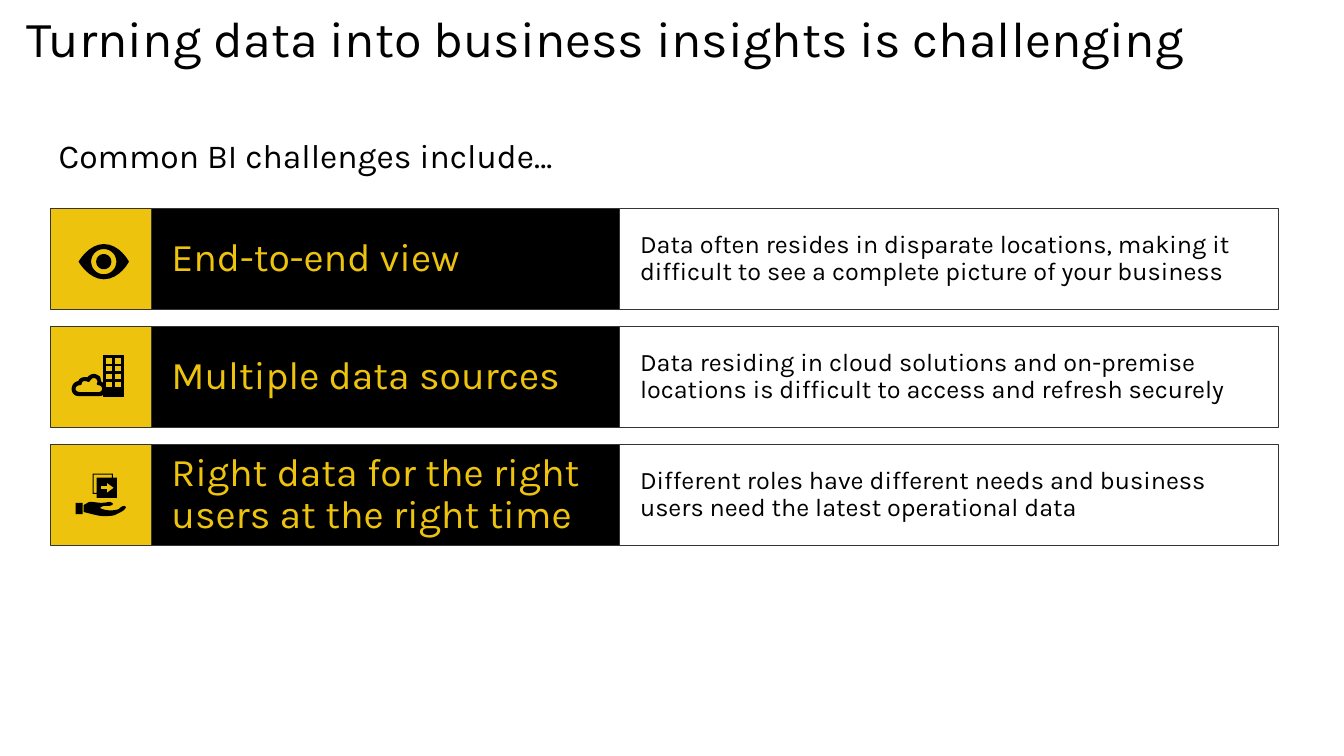
from dataclasses import dataclass
from math import cos, pi, sin

from pptx import Presentation, util as u
from pptx.dml.color import RGBColor as Rgb
from pptx.enum import shapes, text
from pptx.util import Cm


@dataclass(frozen=True)
class Theme:
    font: str = "Karla"
    black: Rgb = Rgb(0, 0, 0)
    white: Rgb = Rgb(255, 255, 255)
    gold: Rgb = Rgb(0xED, 0xC3, 0x0D)
    edge: Rgb = Rgb(0x34, 0x34, 0x34)
    title: int = 36
    head: int = 28
    intro: int = 24
    body: int = 18


T = Theme()

# Row grid in centimetres
LEFT, TOP, PITCH, TILE = 1.27, 5.26, 2.97, 2.54
LABEL_W, NOTE_W = 11.81, 16.59
FINE = 100  # drawing steps per icon unit; a tile is 100 units wide


# Outlines, in icon units
def curve(start, *parts):
    """Points along joined cubic curves; a part is x1, y1, x2, y2, x, y."""
    pts = [start]
    for a, b, c, d, e, f in parts:
        x, y = pts[-1]
        for i in range(1, 9):
            t = i / 8
            s = 1 - t
            w = (s**3, 3 * s * s * t, 3 * s * t * t, t**3)
            pts.append((w[0] * x + w[1] * a + w[2] * c + w[3] * e,
                        w[0] * y + w[1] * b + w[2] * d + w[3] * f))
    return pts


def ring(x, y, r):
    return [(x + r * cos(i * pi / 24), y + r * sin(i * pi / 24))
            for i in range(48)]


def box(x, y, w, h):
    return [(x, y), (x + w, y), (x + w, y + h), (x, y + h)]


# Icons: each is a list of outlines, inner ones cut holes
def eye():
    lids = curve((53, 35), (38, 35, 28, 52.5, 28, 52.5),
                 (28, 52.5, 38, 70, 53, 70), (69, 70, 78, 52.5, 78, 52.5),
                 (78, 52.5, 69, 35, 53, 35))
    return [lids, ring(53, 52.5, 12.5), ring(53, 52.5, 7.5)]


def tower():
    panes = [box(x, 31 + 7.8 * row, 7.5, 6.3)
             for x in (54.7, 63.4) for row in range(4)]
    return [box(53, 29, 20, 40)] + panes


def cloud():
    outer = curve((52, 57), (51, 56, 50, 55.5, 49, 55),
                  (49, 53, 49, 51, 48, 50), (46, 49, 45, 48, 43, 48),
                  (41, 48, 38.5, 49.5, 37, 51.5), (33, 50.5, 29, 52, 28.5, 55),
                  (27, 55, 25, 56, 24, 57), (21.5, 60, 21.5, 64, 24, 66.5),
                  (25, 67.5, 27, 68, 29, 68), (35, 68, 42, 68, 48, 68),
                  (49, 68, 51, 68, 52, 66.5), (54.5, 64, 54.5, 60, 52, 57))
    inner = curve((48, 66), (42, 66, 35, 66, 29, 66), (22, 66, 22, 57, 30, 57),
                  (30, 53, 34, 52, 38, 54), (39, 52, 41, 50, 43, 50),
                  (46, 50, 49, 53, 47, 57), (54, 57, 54, 66, 48, 66))
    return [outer, inner]


def hand():
    palm = curve((75, 62), (75, 62, 75, 63, 73, 65), (72, 66, 70, 67, 64, 70),
                 (61, 71, 57, 71, 54, 71), (49, 71, 49, 71, 33, 67),
                 (33, 67, 33, 61, 33, 60), (36, 59, 37, 57, 40, 57),
                 (46, 57, 49, 59, 58, 57), (60, 57, 62, 58, 62, 59),
                 (62, 61, 57, 61, 54, 61), (51, 61, 51, 62, 49, 63),
                 (55, 66, 63, 66, 68, 64), (69, 63, 71, 61, 73, 61),
                 (74, 61, 75, 62, 75, 62))
    sheet = [(42, 29), (62, 29), (62, 33), (66, 33), (66, 53), (46, 53),
             (46, 49), (42, 49)]
    gap = [(43, 30), (61, 30), (61, 33), (46, 33), (46, 48), (43, 48)]
    arrow = [(63, 43), (56, 38), (56, 41.2), (50, 41.2), (50, 44.4),
             (56, 44.4), (56, 48)]
    return [palm, box(25, 58, 7, 11), sheet, gap, arrow]


# Elements
def paint(shape, fill, line=None, width=0.75):
    shape.shadow.inherit = False
    shape.fill.solid()
    shape.fill.fore_color.rgb = fill
    if line is None:
        shape.line.fill.background()
    else:
        shape.line.color.rgb = line
        shape.line.width = u.Pt(width)


def write(shape, words, size, color, pad=(0.51, 0.41), space=0.9):
    frame = shape.text_frame
    frame.text = words
    frame.word_wrap = True
    frame.margin_left = frame.margin_right = Cm(pad[0])
    frame.margin_top = frame.margin_bottom = Cm(pad[1])
    para = frame.paragraphs[0]
    para.alignment = text.PP_ALIGN.LEFT
    para.line_spacing = space
    font = para.runs[0].font
    font.name, font.size = T.font, u.Pt(size)
    font.color.rgb = color


def label(slide, x, y, w, h, words, size, **style):
    area = slide.shapes.add_textbox(Cm(x), Cm(y), Cm(w), Cm(h))
    write(area, words, size, T.black, **style)


def panel(slide, x, y, w, fill):
    rect = slide.shapes.add_shape(shapes.MSO_SHAPE.RECTANGLE,
                                  Cm(x), Cm(y), Cm(w), Cm(TILE))
    paint(rect, fill, T.edge)
    rect.text_frame.vertical_anchor = text.MSO_ANCHOR.MIDDLE
    return rect


def icon(slide, y, paths, width):
    build = None
    for pts in paths:
        first, *rest = [(px * FINE, py * FINE) for px, py in pts]
        if build is None:
            build = slide.shapes.build_freeform(*first,
                                                Cm(TILE) / (100 * FINE))
        else:
            build.move_to(*first)
        build.add_line_segments(rest, close=True)
    shape = build.convert_to_shape(Cm(LEFT), Cm(y))
    paint(shape, T.black, T.black if width else None, width)


def row(slide, y, head, note, icons):
    mid = LEFT + TILE
    write(panel(slide, mid, y, LABEL_W, T.black), head, T.head, T.gold)
    write(panel(slide, mid + LABEL_W, y, NOTE_W, T.white),
          note, T.body, T.black)
    panel(slide, LEFT, y, TILE, T.gold)
    for paths, width in icons:
        icon(slide, y, paths, width)


ROWS = [
    ("End-to-end view",
     "Data often resides in disparate locations, making it difficult to see "
     "a complete picture of your business", [(eye(), 0)]),
    ("Multiple data sources",
     "Data residing in cloud solutions and on-premise locations is difficult "
     "to access and refresh securely", [(tower(), 0.75), (cloud(), 1.5)]),
    ("Right data for the right users at the right time",
     "Different roles have different needs and business users need the "
     "latest operational data", [(hand(), 0)]),
]


def main():
    deck = Presentation()
    deck.slide_width, deck.slide_height = Cm(33.87), Cm(19.05)
    slide = deck.slides.add_slide(deck.slide_layouts[6])

    # Headings
    label(slide, 0.43, 0.05, 33.02, 1.8,
          "Turning data into business insights is challenging",
          T.title, pad=(0.25, 0.13), space=1.0)
    label(slide, 0.97, 3.1, 20.5, 1.37, "Common BI challenges include…",
          T.intro)

    # Challenges
    for i, (head, note, icons) in enumerate(ROWS):
        row(slide, TOP + i * PITCH, head, note, icons)

    deck.save("out.pptx")


if __name__ == "__main__":
    main()
